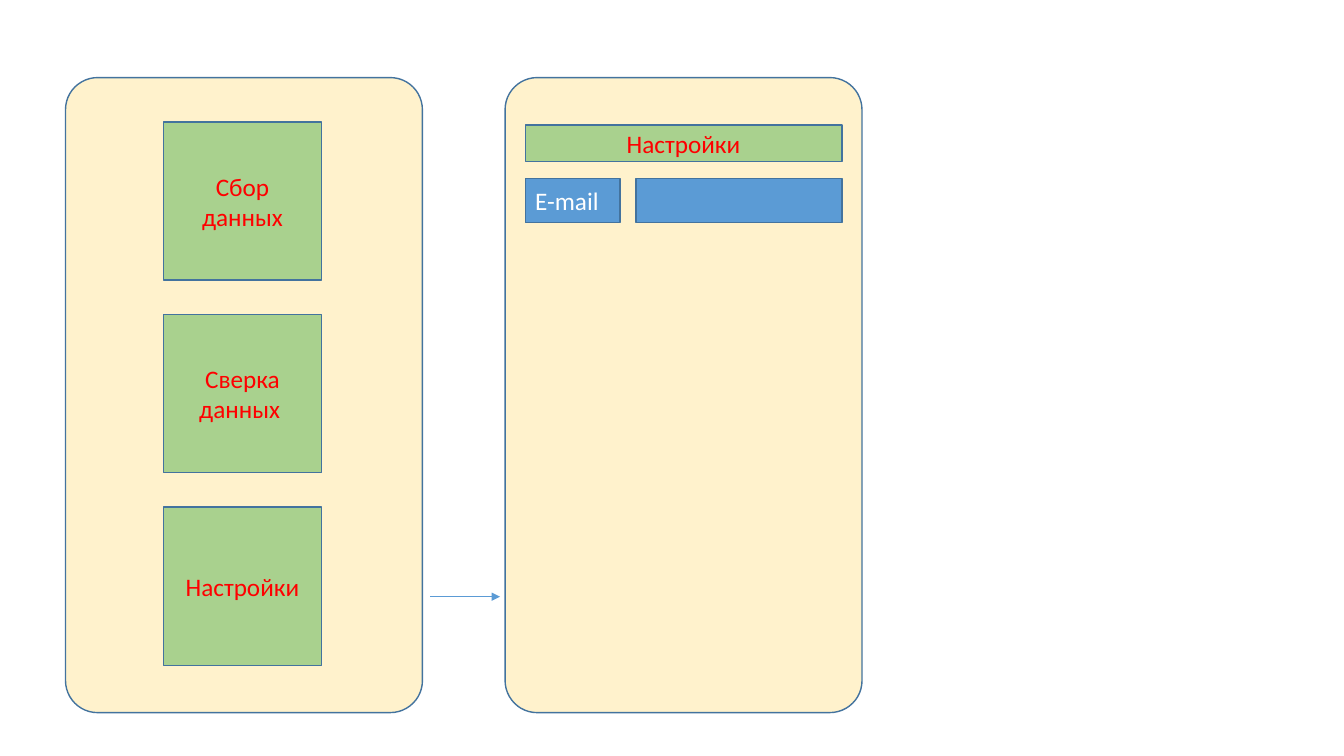
from dataclasses import dataclass

from lxml.etree import SubElement
from pptx import Presentation
from pptx.dml.color import RGBColor
from pptx.enum.shapes import MSO_CONNECTOR, MSO_SHAPE
from pptx.enum.text import MSO_ANCHOR, PP_ALIGN
from pptx.oxml.ns import qn
from pptx.util import Inches, Pt


@dataclass(frozen=True)
class Theme:
    panel: str = "FFF2CC"
    button: str = "A9D18E"
    field: str = "5B9BD5"
    outline: str = "43739E"
    button_text: str = "FF0000"
    field_text: str = "FFFFFF"
    font: str = "Calibri"
    size: int = 18
    outline_width: float = 1
    arrow_width: float = 0.5


T = Theme()

# Content
MENU = ["Сбор данных", "Сверка данных ", "Настройки"]
SETTINGS_TITLE = "Настройки"
SETTINGS_FIELDS = ["E-mail"]

# Layout, in inches
PANEL_TOP, PANEL_W, PANEL_H = 0.77, 3.54, 6.3
MENU_X, SETTINGS_X = 0.65, 5.01
BUTTON, BUTTON_X, BUTTON_TOP, BUTTON_STEP = 1.57, 1.62, 1.21, 1.91
INSET = 0.2
FORM_X, FORM_W = SETTINGS_X + INSET, PANEL_W - 2 * INSET
TITLE_TOP, TITLE_H = 1.24, 0.36
ROW_GAP, ROW_H, LABEL_W, LABEL_GAP = 0.17, 0.44, 0.94, 0.16
ARROW_Y, ARROW_START, ARROW_END = 5.92, 4.27, 4.96

prs = Presentation()
prs.slide_width, prs.slide_height = Inches(13.33), Inches(7.5)
s = prs.slides.add_slide(prs.slide_layouts[6])


def add_box(x, y, w, h, fill, text="", color=T.button_text,
            align=PP_ALIGN.CENTER, kind=MSO_SHAPE.RECTANGLE):
    sp = s.shapes.add_shape(kind, Inches(x), Inches(y), Inches(w), Inches(h))
    sp.shadow.inherit = False
    sp.fill.solid()
    sp.fill.fore_color.rgb = RGBColor.from_string(fill)
    sp.line.color.rgb = RGBColor.from_string(T.outline)
    sp.line.width = Pt(T.outline_width)
    if text:
        tf = sp.text_frame
        tf.word_wrap = True
        tf.vertical_anchor = MSO_ANCHOR.MIDDLE
        p = tf.paragraphs[0]
        p.alignment = align
        r = p.add_run()
        r.text = text
        r.font.name = T.font
        r.font.size = Pt(T.size)
        r.font.color.rgb = RGBColor.from_string(color)
    return sp


# Panels
for x in (SETTINGS_X, MENU_X):
    panel = add_box(x, PANEL_TOP, PANEL_W, PANEL_H, T.panel,
                    kind=MSO_SHAPE.ROUNDED_RECTANGLE)
    panel.adjustments[0] = 0.09

# Menu buttons
for i, label in enumerate(MENU):
    add_box(BUTTON_X, BUTTON_TOP + i * BUTTON_STEP, BUTTON, BUTTON,
            T.button, label)

# Settings form: a title, then a label and an input per row
add_box(FORM_X, TITLE_TOP, FORM_W, TITLE_H, T.button, SETTINGS_TITLE)
for i, label in enumerate(SETTINGS_FIELDS):
    y = TITLE_TOP + TITLE_H + ROW_GAP + i * (ROW_H + ROW_GAP)
    label_step = LABEL_W + LABEL_GAP
    add_box(FORM_X, y, LABEL_W, ROW_H, T.field, label, T.field_text,
            PP_ALIGN.LEFT)
    add_box(FORM_X + label_step, y, FORM_W - label_step, ROW_H, T.field)

# Arrow from the menu to the settings
arrow = s.shapes.add_connector(
    MSO_CONNECTOR.STRAIGHT, Inches(ARROW_START), Inches(ARROW_Y),
    Inches(ARROW_END), Inches(ARROW_Y))
arrow.line.color.rgb = RGBColor.from_string(T.field)
arrow.line.width = Pt(T.arrow_width)
SubElement(arrow.line._get_or_add_ln(), qn("a:tailEnd"), type="triangle")
SubElement(arrow._element.spPr, qn("a:effectLst"))

prs.save("out.pptx")
